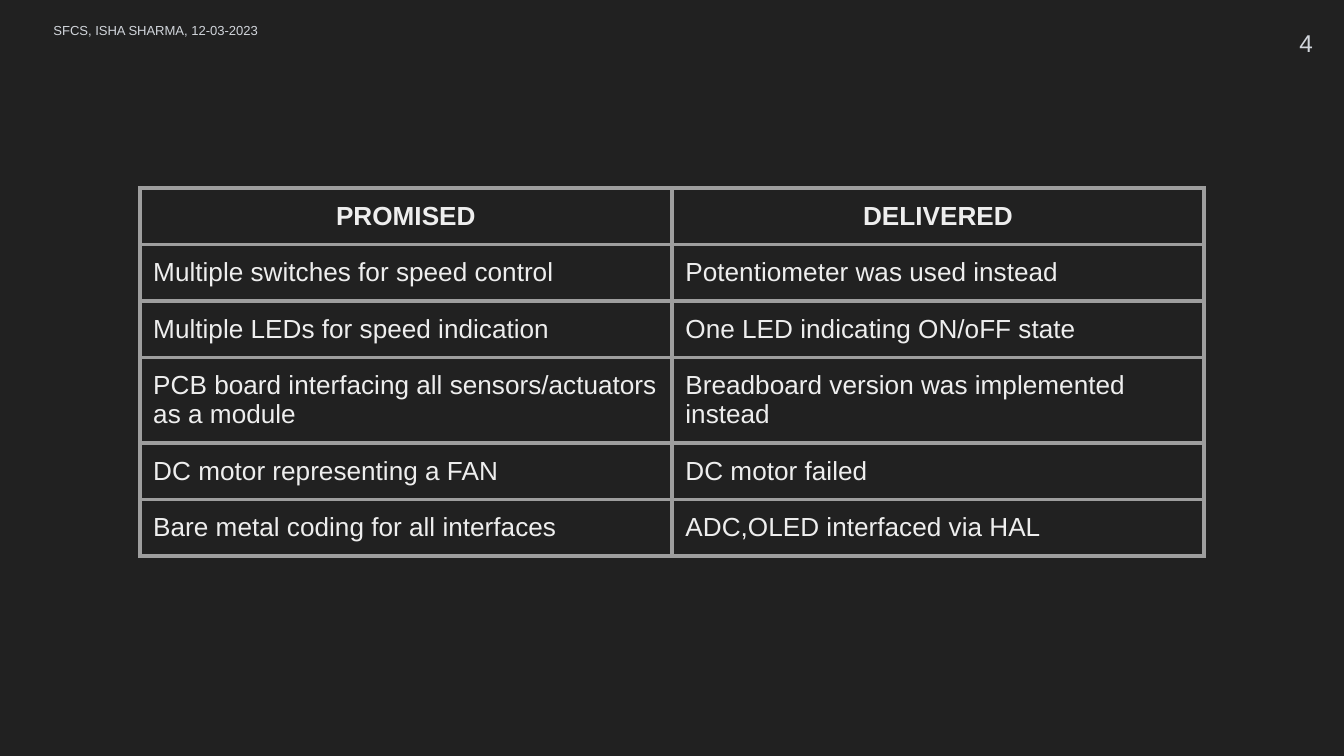
from lxml import etree
from pptx import Presentation
from pptx.dml.color import RGBColor
from pptx.enum.text import PP_ALIGN as Align
from pptx.oxml.ns import qn
from pptx.util import Inches, Pt

COLORS = {"background": "212121", "border": "9E9E9E", "cell": "EEEEEE", "label": "D1D5DB"}
MARGINS = {f"margin_{side}": Inches(0.1) for side in ("left", "right", "top", "bottom")}


def write_text(holder, paragraph, text, size, color, bold=False):
    """Put one formatted run in a paragraph and set the margins of its holder."""
    for name, value in MARGINS.items():
        setattr(holder, name, value)
    run = paragraph.add_run()
    run.text = text
    for name, value in {"name": "Arial", "size": Pt(size), "bold": bold}.items():
        setattr(run.font, name, value)
    run.font.color.rgb = RGBColor.from_string(COLORS[color])


def add_borders(cell):
    """Draw a solid line on all four sides of a cell."""
    properties = cell._tc.get_or_add_tcPr()
    for position, tag in enumerate(("a:lnL", "a:lnR", "a:lnT", "a:lnB")):
        line = etree.Element(qn(tag), w=str(Pt(2.25)))
        fill = etree.SubElement(line, qn("a:solidFill"))
        etree.SubElement(fill, qn("a:srgbClr"), val=COLORS["border"])
        properties.insert(position, line)


# Widescreen slide (16:9) and background
prs = Presentation()
prs.slide_width = Inches(10)
prs.slide_height = prs.slide_width * 9 // 16
slide = prs.slides.add_slide(prs.slide_layouts[6])
slide.background.fill.solid()
slide.background.fill.fore_color.rgb = RGBColor.from_string(COLORS["background"])

# Comparison table
comparison = [
    ("PROMISED", "DELIVERED"),
    ("Multiple switches for speed control", "Potentiometer was used instead"),
    ("Multiple LEDs for speed indication", "One LED indicating ON/oFF state"),
    ("PCB board interfacing all sensors/actuators as a module",
     "Breadboard version was implemented instead"),
    ("DC motor representing a FAN", "DC motor failed"),
    ("Bare metal coding for all interfaces", "ADC,OLED interfaced via HAL"),
]
row_height, column_width = Inches(0.42), Inches(3.96)
table = slide.shapes.add_table(
    len(comparison), 2, Inches(1.04), Inches(1.4),
    2 * column_width, len(comparison) * row_height).table
for row_index, entries in enumerate(comparison):
    is_header = row_index == 0
    for column_index, entry in enumerate(entries):
        cell = table.cell(row_index, column_index)
        cell.fill.background()
        add_borders(cell)
        paragraph = cell.text_frame.paragraphs[0]
        paragraph.alignment = Align.CENTER if is_header else Align.LEFT
        write_text(cell, paragraph, entry, 14, "cell", is_header)

# Author line and page number
for text, left, width, height, size in [
    ("SFCS, ISHA SHARMA, 12-03-2023", 0.3, 1.83, 0.32, 7),
    ("4", 9.57, 0.34, 0.42, 13),
]:
    label = slide.shapes.add_textbox(
        Inches(left), Inches(0.11), Inches(width), Inches(height)).text_frame
    label.word_wrap = True
    write_text(label, label.paragraphs[0], text, size, "label")

prs.save("out.pptx")
